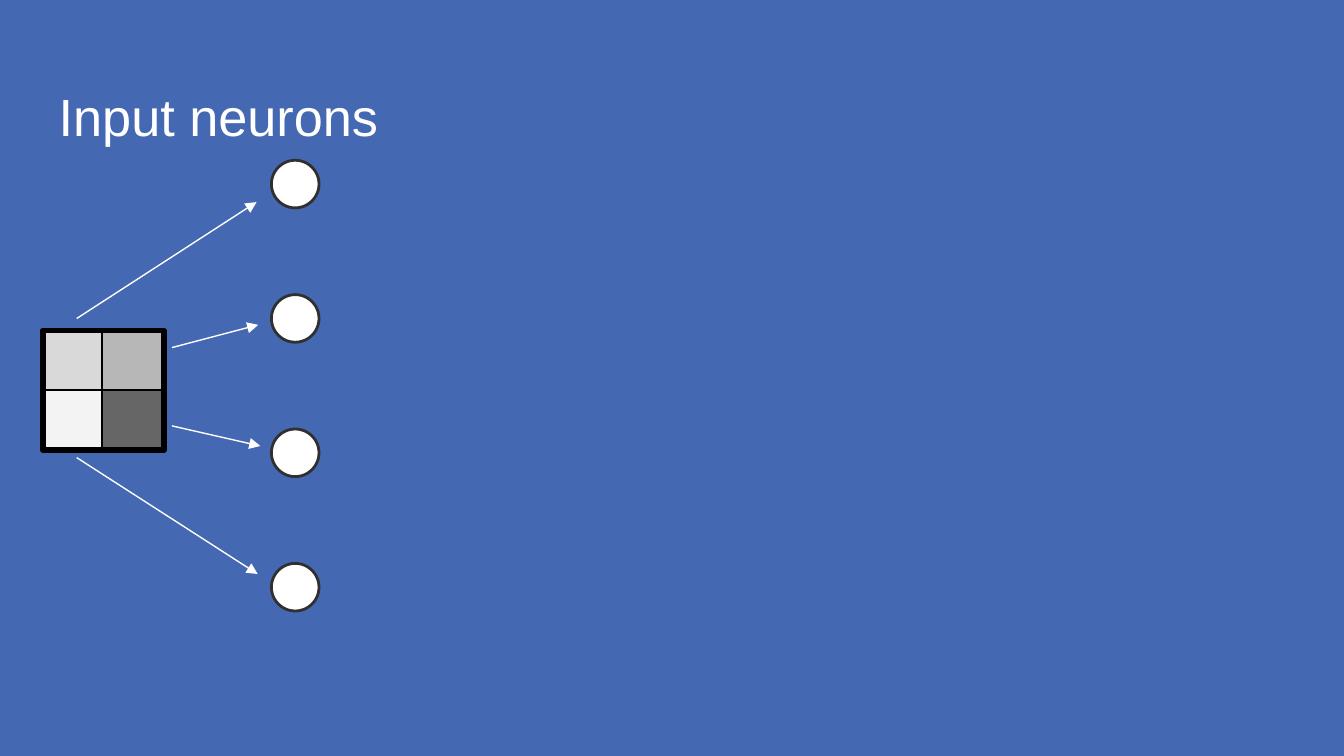
import pptx
import pptx.dml.color
import pptx.enum.shapes
import pptx.enum.text
import pptx.oxml.ns
import pptx.util
import lxml.etree

Cm = pptx.util.Cm
Pt = pptx.util.Pt
KIND = pptx.enum.shapes.MSO_SHAPE
TEXT = pptx.enum.text
HUES = {
    "back": "4568B2", "white": "FFFFFF", "black": "000000", "ring": "303030",
    "light": "D9D9D9", "mid": "B7B7B7", "pale": "F3F3F3", "dark": "666666",
}


class Deck:
    """Hold the style and the current slide, and draw its elements."""

    def __init__(self, wide, high):
        self.file = pptx.Presentation()
        self.file.slide_width, self.file.slide_height = Cm(wide), Cm(high)
        self.slide = self.file.slides.add_slide(self.file.slide_layouts[5])
        self.paint(self.slide.background.fill, "back")

    def hue(self, name):
        return pptx.dml.color.RGBColor.from_string(HUES[name])

    def paint(self, fill, name):
        if name is None:
            fill.background()
        else:
            fill.solid()
            fill.fore_color.rgb = self.hue(name)

    def format(self, item, values):
        for name, value in values.items():
            setattr(item, name, value)

    def stroke(self, line, name, width):
        self.paint(line.fill, name)
        line.width = Pt(width)

    def title(self, text, box):
        head = self.slide.shapes.title
        self.format(head, dict(zip(("left", "top", "width", "height"), map(Cm, box))))
        frame = head.text_frame
        frame.text = text
        self.format(frame, {
            "word_wrap": True, "auto_size": TEXT.MSO_AUTO_SIZE.NONE,
            "vertical_anchor": TEXT.MSO_ANCHOR.TOP,
            "margin_left": Cm(0.25), "margin_right": Cm(0.25),
            "margin_top": Cm(0.36), "margin_bottom": Cm(0.25),
        })
        para = frame.paragraphs[0]
        para.alignment = TEXT.PP_ALIGN.LEFT
        font = para.runs[0].font
        self.format(font, {"name": "Arial", "size": Pt(28)})
        font.color.rgb = self.hue("white")

    def shape(self, kind, box, fill, line, width):
        item = self.slide.shapes.add_shape(kind, *map(Cm, box))
        item.shadow.inherit = False
        self.paint(item.fill, fill)
        self.stroke(item.line, line, width)

    def arrow(self, start, end):
        kind = pptx.enum.shapes.MSO_CONNECTOR.STRAIGHT
        item = self.slide.shapes.add_connector(kind, *map(Cm, start + end))
        self.stroke(item.line, "white", 0.75)
        qn = pptx.oxml.ns.qn
        props = item.element.spPr
        tip = lxml.etree.SubElement(props.find(qn("a:ln")), qn("a:tailEnd"))
        tip.set("type", "triangle")
        lxml.etree.SubElement(props, qn("a:effectLst"))


def main():
    deck = Deck(25.4, 14.29)
    deck.title("Input neurons", (0.86, 1.24, 23.67, 1.6))

    left, top, side = 0.81, 6.25, 1.12
    for row, tones in enumerate((("light", "mid"), ("pale", "dark"))):
        for col, tone in enumerate(tones):
            cell = (left + col * side, top + row * side, side, side)
            deck.shape(KIND.RECTANGLE, cell, tone, "black", 0.75)
    deck.shape(KIND.RECTANGLE, (left, top, 2.29, 2.26), None, "black", 3)

    for row in range(4):
        ring = (5.13, 3.03 + row * 2.54, 0.9, 0.9)
        deck.shape(KIND.OVAL, ring, "white", "ring", 1.5)

    for start, end in (
        ((1.45, 6.02), (4.85, 3.82)),
        ((3.25, 6.57), (4.88, 6.14)),
        ((3.25, 8.05), (4.92, 8.43)),
        ((1.45, 8.65), (4.87, 10.85)),
    ):
        deck.arrow(start, end)

    deck.file.save("out.pptx")


if __name__ == "__main__":
    main()
